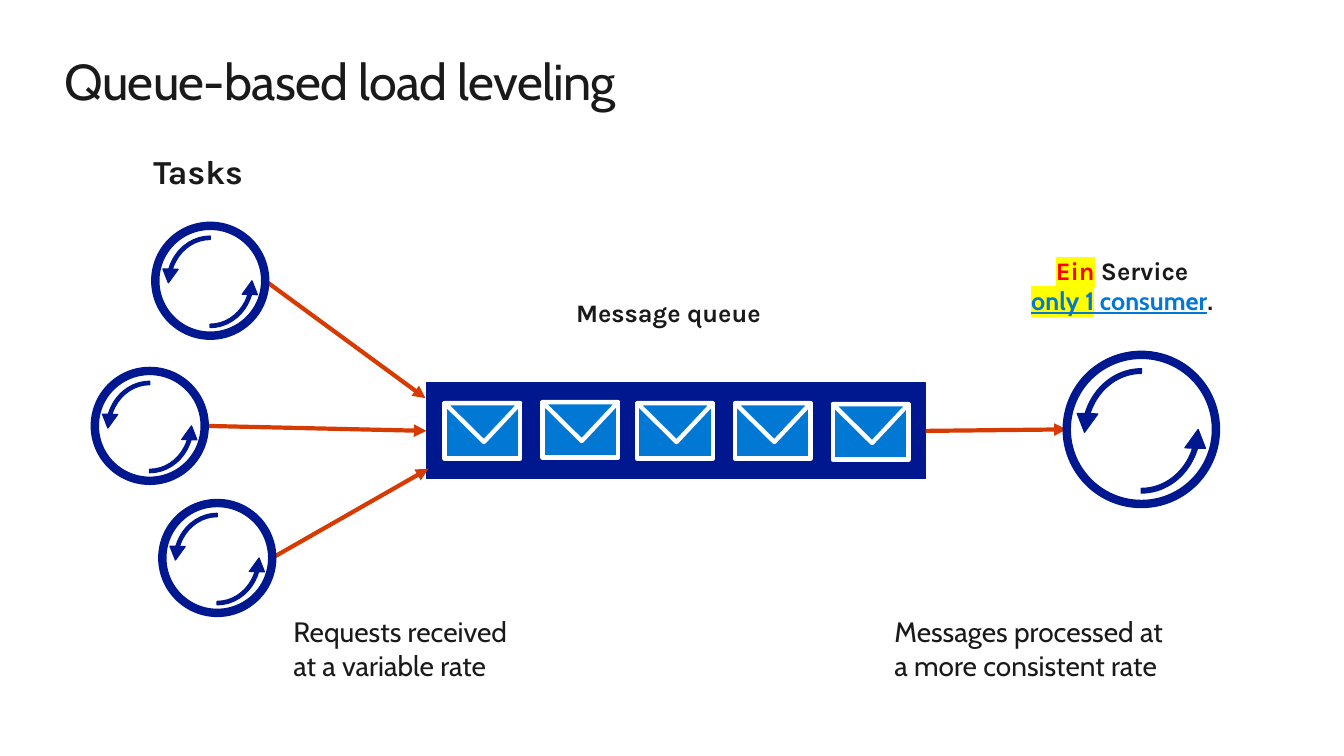
from lxml import etree
from pptx import Presentation
from pptx import util as u
from pptx.dml import color
from pptx.enum import shapes, text
from pptx.oxml import ns

NAVY, BLUE, ORANGE = "00188F", "0078D4", "D83B01"
INK, WHITE, RED, YELLOW = "1A1A1A", "FFFFFF", "FF0000", "FFFF00"
KIND = shapes.MSO_SHAPE


def rgb(value):
    """Turn a hex string into a colour."""
    return color.RGBColor.from_string(value)


def paint(shape, fill, line, weight):
    """Set a shape's fill and outline and drop its shadow."""
    shape.shadow.inherit = False
    shape.fill.solid()
    shape.fill.fore_color.rgb = rgb(fill)
    shape.line.color.rgb = rgb(line)
    shape.line.width = u.Pt(weight)


def preset(slide, kind, box, fill, line, weight):
    """Add a painted preset shape in a box given in inches."""
    shape = slide.shapes.add_shape(kind, *map(u.Inches, box))
    paint(shape, fill, line, weight)
    return shape


def add_run(paragraph, words, size, font, ink=INK, bold=False,
            underline=False, highlight=None, spacing=None):
    """Add one formatted run to a paragraph."""
    run = paragraph.add_run()
    run.text = words
    run.font.size = u.Pt(size)
    run.font.bold = bold
    run.font.underline = underline
    run.font.color.rgb = rgb(ink)
    properties = run.font._element
    if highlight:
        mark = etree.Element(ns.qn("a:highlight"))
        etree.SubElement(mark, ns.qn("a:srgbClr")).set("val", highlight)
        properties.find(ns.qn("a:solidFill")).addnext(mark)
    if spacing:
        properties.set("spc", str(spacing))
    run.font.name = font


def label(slide, box, lines, inset=0, align=text.PP_ALIGN.LEFT):
    """Add a text box whose lines are lists of run settings."""
    frame = slide.shapes.add_textbox(*map(u.Inches, box)).text_frame
    frame.word_wrap = True
    frame.margin_left = frame.margin_right = u.Inches(inset)
    frame.margin_top = frame.margin_bottom = u.Inches(inset)
    for index, runs in enumerate(lines):
        paragraph = frame.add_paragraph() if index else frame.paragraphs[0]
        paragraph.alignment = align
        for settings in runs:
            add_run(paragraph, **settings)


def heading(slide, box, *lines):
    """Add a centred diagram heading with padding."""
    label(slide, box, lines, 0.1, text.PP_ALIGN.CENTER)


def arrow(slide, start, end):
    """Draw an orange arrow between two points."""
    line = slide.shapes.add_connector(
        shapes.MSO_CONNECTOR.STRAIGHT, *map(u.Inches, start + end))
    line.line.color.rgb = rgb(ORANGE)
    line.line.width = u.Pt(3)
    outline = line.line._get_or_add_ln()
    etree.SubElement(outline, ns.qn("a:tailEnd")).set("type", "triangle")
    etree.SubElement(line._element.spPr, ns.qn("a:effectLst"))
    return line


def cycle(slide, left, top, size):
    """Draw a ring holding two turning arrows."""
    preset(slide, KIND.OVAL, (left, top, size, size), WHITE, NAVY, 6)
    for rotation, drop in ((180, 0), (0, 0.04)):
        box = (left + 0.05 * size, top + drop * size, 0.9 * size, 0.98 * size)
        turn = preset(slide, KIND.CIRCULAR_ARROW, box, NAVY, NAVY, 0.85)
        for index, value in enumerate((0.035, 11.423, 203.668, 161.897, 0.077)):
            turn.adjustments[index] = value
        turn.rotation = rotation
        turn._element.spPr.find(ns.qn("a:xfrm")).set("flipH", "1")
    hub = (left + 0.24 * size, top + 0.25 * size, 0.53 * size, 0.53 * size)
    preset(slide, KIND.OVAL, hub, WHITE, WHITE, 0.75)


def envelope(slide, left, top, width=0.75, height=0.55):
    """Draw a message as an envelope body and its flap."""
    right, bottom = left + width, top + height
    body = ((left, top), (right, top), (right, bottom), (left, bottom))
    flap = ((right, top), (left + 0.52 * width, top + 0.7 * height), (left, top))
    for first, *others in (body, flap):
        builder = slide.shapes.build_freeform(
            u.Inches(first[0]), u.Inches(first[1]))
        builder.add_line_segments(
            [(u.Inches(x), u.Inches(y)) for x, y in others], close=True)
        paint(builder.convert_to_shape(), BLUE, WHITE, 3.13)


def message_queue(slide, left, top, width, height):
    """Draw the queue with its heading and waiting messages."""
    queue = preset(slide, KIND.RECTANGLE, (left, top, width, height),
                   NAVY, NAVY, 0.85)
    heading(slide, (left + 0.43, top - 0.95, 3.94, 0.5),
            [dict(words="Message queue", size=18, font="Karla", bold=True)])
    for across, down in ((0.18, 0.2), (1.15, 0.19), (2.09, 0.2),
                         (3.06, 0.2), (4.03, 0.21)):
        envelope(slide, left + across, top + down)
    return queue


def tasks(slide, left, top, queue):
    """Draw the tasks and the requests they send to the queue."""
    size = 1.09
    heading(slide, (left + 0.09, top, 1.87, 0.61),
            [dict(words="Tasks", size=24, font="Karla", bold=True)])
    for across, down, target in ((0, 2.28, None), (0.6, 0.84, (4.22, 3.95)),
                                 (0.67, 3.59, (4.25, 4.65))):
        x, y = left + across, top + down
        request = arrow(slide, (x + size, y + size / 2), target or (4.23, 4.28))
        if not target:
            request.end_connect(queue, 1)
        cycle(slide, x, y, size)
    label(slide, (left + 1.97, top + 4.7, 2.3, 0.67),
          [[dict(words="Requests received at a variable rate",
                 size=20, font="Cabin")]])


def service(slide, left, top, queue):
    """Draw the single consumer fed by the queue."""
    delivery = arrow(slide, (9.18, 4.28), (left, top + 0.74))
    delivery.begin_connect(queue, 3)
    cycle(slide, left, top, 1.48)
    karla = dict(size=18, font="Karla", bold=True)
    cabin = dict(size=18, font="Cabin", bold=True)
    heading(slide, (left - 0.58, top - 1.09, 2.26, 0.81),
            [dict(karla, words="Ein", ink=RED, highlight=YELLOW),
             dict(karla, words=" Service")],
            [dict(cabin, words="only 1", ink=BLUE, underline=True,
                  highlight=YELLOW),
             dict(cabin, words=" consumer", ink=BLUE, underline=True),
             dict(cabin, words=".")])
    label(slide, (left - 1.71, top + 2.58, 2.85, 0.67),
          [[dict(words="Messages processed at a more consistent rate",
                 size=20, font="Cabin")]])


def main():
    """Build the load leveling slide."""
    deck = Presentation()
    deck.slide_width, deck.slide_height = u.Inches(13.33), u.Inches(7.5)
    slide = deck.slides.add_slide(deck.slide_layouts[6])
    label(slide, (0.64, 0.5, 12.05, 0.61),
          [[dict(words="Queue-based load leveling", size=36, font="Cabin",
                 spacing=-50)]])
    queue = message_queue(slide, 4.23, 3.8, 4.95, 0.95)
    tasks(slide, 0.94, 1.4, queue)
    service(slide, 10.58, 3.52, queue)
    deck.save("out.pptx")


if __name__ == "__main__":
    main()
